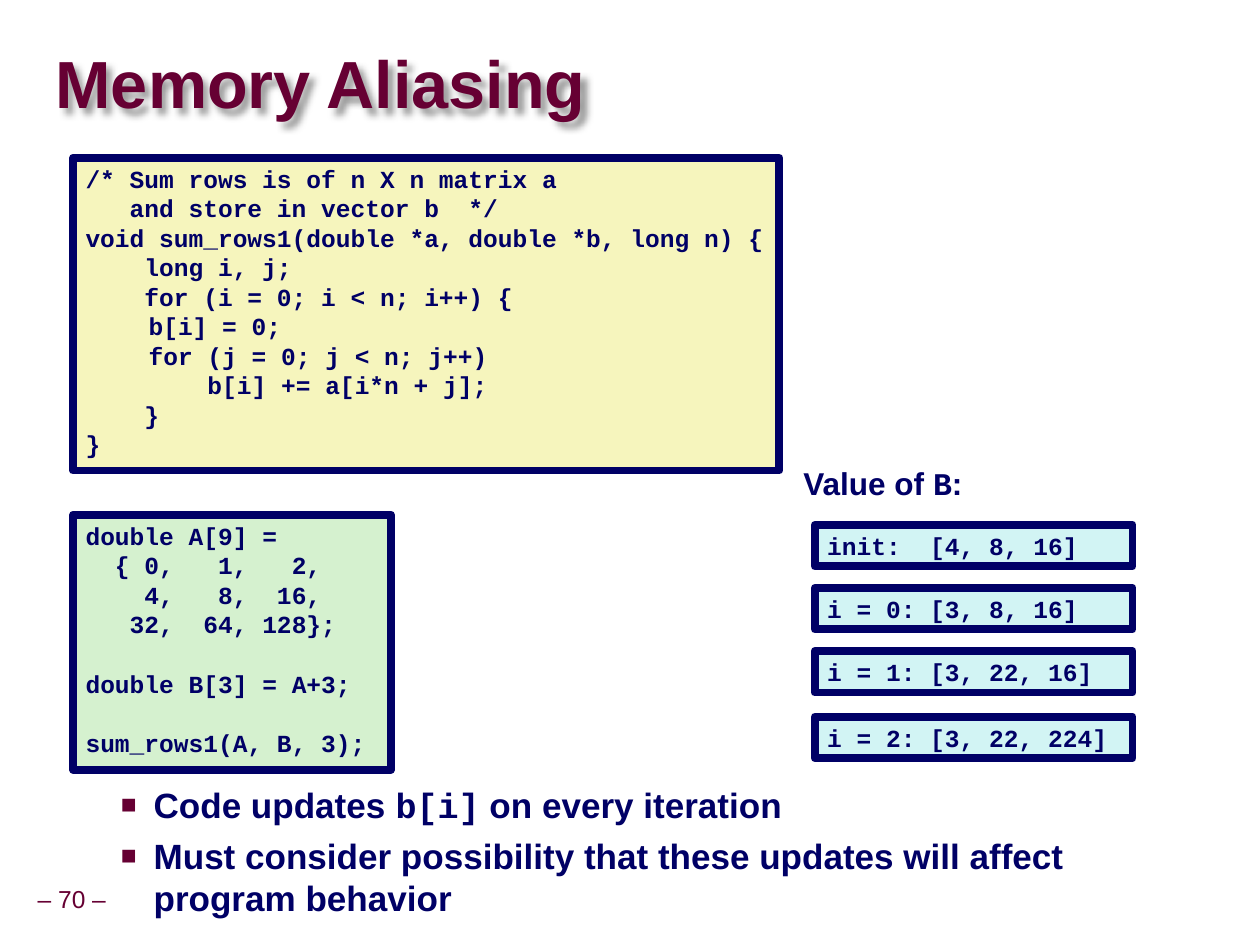
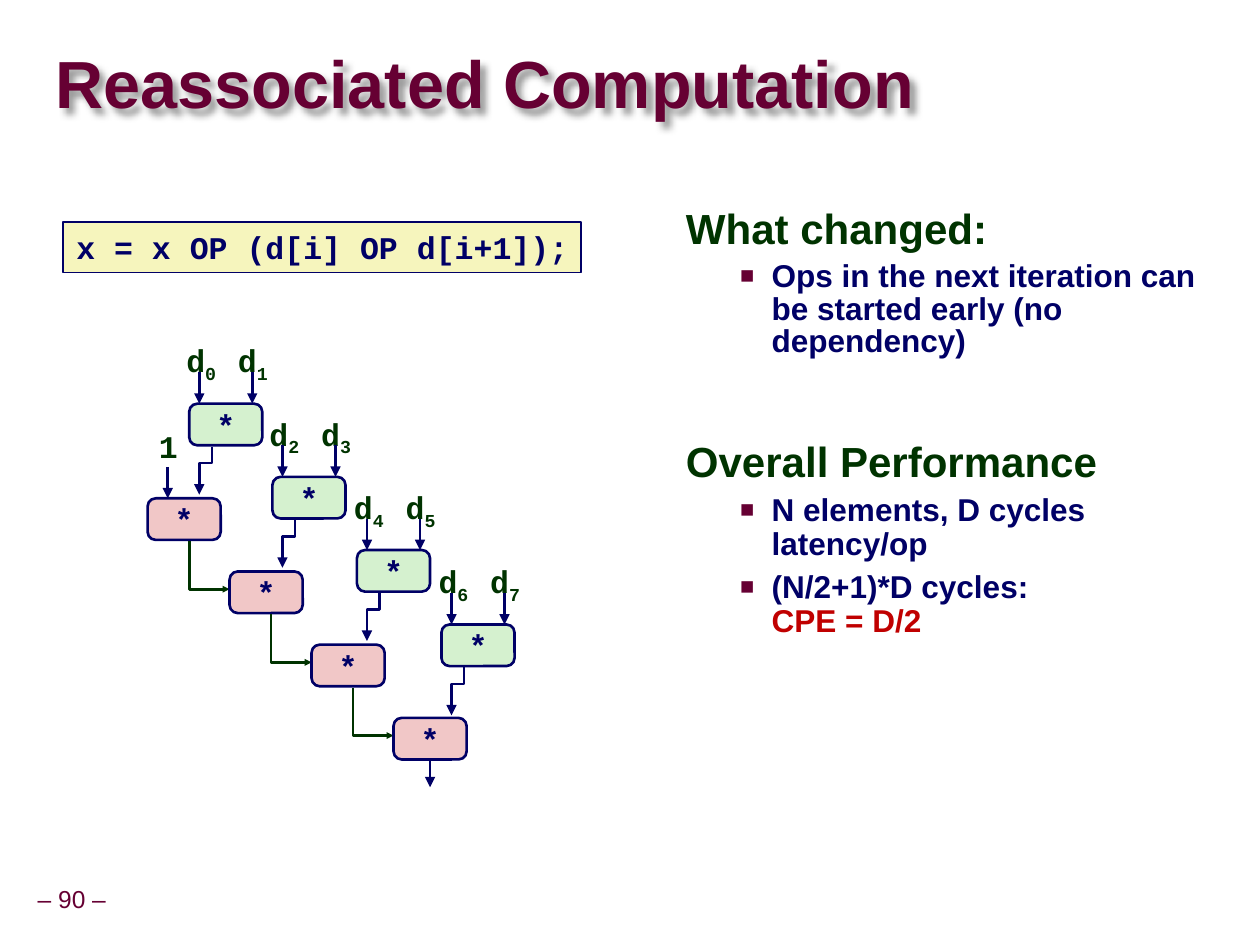
from lxml.etree import SubElement
from pptx import Presentation
from pptx.dml.color import RGBColor
from pptx.enum.shapes import MSO_CONNECTOR as CONN, MSO_SHAPE as SHAPE
from pptx.enum.text import MSO_ANCHOR as ANCHOR, MSO_AUTO_SIZE as AUTO, PP_ALIGN as ALIGN
from pptx.oxml import parse_xml
from pptx.oxml.ns import nsdecls, qn
from pptx.util import Pt

PX = 9144
MAROON = RGBColor(0x66, 0x00, 0x33)
NAVY = RGBColor(0x00, 0x00, 0x66)
FOREST = RGBColor(0x00, 0x33, 0x00)
RED = RGBColor(0xC0, 0x00, 0x00)
YELLOW = RGBColor(0xF6, 0xF5, 0xBD)
GREEN = RGBColor(0xD5, 0xF1, 0xCF)
CYAN = RGBColor(0xD2, 0xF4, 0xF4)
PINK = RGBColor(0xF1, 0xC7, 0xC7)
SANS, MONO = "Arial", "Courier New"

TITLE = dict(size=38, name=SANS, bold=True, color=MAROON)
FOOTER = dict(size=14, name=SANS, bold=False, color=MAROON)
HEADING = dict(size=24, name=SANS, bold=True, color=FOREST)
BODY = dict(size=20, name=SANS, bold=True, color=NAVY)
SMALL_BODY = dict(BODY, size=18)
CODE = dict(size=14, name=MONO, bold=True, color=NAVY)
BIG_CODE = dict(CODE, size=18)
LABEL = dict(BIG_CODE, color=FOREST)

SUM_ROWS = """/* Sum rows is of n X n matrix a
   and store in vector b  */
void sum_rows1(double *a, double *b, long n) {
    long i, j;
    for (i = 0; i < n; i++) {
\tb[i] = 0;
\tfor (j = 0; j < n; j++)
\t    b[i] += a[i*n + j];
    }
}"""
CALL = """double A[9] =
  { 0,   1,   2,
    4,   8,  16,
   32,  64, 128};

double B[3] = A+3;

sum_rows1(A, B, 3);"""


def px(*lengths):
    return [n * PX for n in lengths]


def add_run(p, text, fmt):
    r = p.add_run()
    r.text = text
    for key, value in fmt.items():
        if key == "color":
            r.font.color.rgb = value
        else:
            setattr(r.font, key, Pt(value) if key == "size" else value)
    return r


def frame(sp, margins=(10, 5), wrap=True, anchor=ANCHOR.TOP):
    tf = sp.text_frame
    side, top = px(*margins)
    settings = dict(margin_left=side, margin_right=side, margin_top=top, margin_bottom=top,
                    word_wrap=wrap, vertical_anchor=anchor, auto_size=AUTO.NONE)
    for key, value in settings.items():
        setattr(tf, key, value)
    return tf


def next_paragraph(tf):
    first = tf.paragraphs[0]
    return tf.add_paragraph() if first.runs else first


def add_label(s, box, runs, align=ALIGN.CENTER, anchor=ANCHOR.TOP):
    tf = frame(s.shapes.add_textbox(*px(*box)), (5, 5), False, anchor)
    p = tf.paragraphs[0]
    p.alignment, p.line_spacing = align, 0.9
    return [add_run(p, text, fmt) for text, fmt in runs]


def add_box(s, shape, box, fill, line_width):
    sp = s.shapes.add_shape(shape, *px(*box))
    sp.shadow.inherit = False
    sp.fill.solid()
    sp.fill.fore_color.rgb = fill
    sp.line.color.rgb = NAVY
    sp.line.width = Pt(line_width)
    return sp


def add_code(s, box, code, fill, fmt=CODE, line_width=4.5, wrap=True, align=ALIGN.LEFT):
    tf = frame(add_box(s, SHAPE.RECTANGLE, box, fill, line_width), wrap=wrap)
    gap = 0
    for line in code.split("\n"):
        if not line:
            gap = 17
            continue
        p = next_paragraph(tf)
        p.alignment = align
        if gap:
            p.space_before = Pt(gap)
        add_run(p, line, fmt)
        gap = 0


def add_bullet(p, left, hanging):
    pPr = p._p.get_or_add_pPr()
    pPr.set("marL", str(left * PX))
    pPr.set("indent", str(-hanging * PX))
    SubElement(SubElement(pPr, qn("a:buClr")), qn("a:srgbClr")).set("val", str(MAROON))
    SubElement(pPr, qn("a:buSzPct")).set("val", "75000")
    SubElement(pPr, qn("a:buFont")).set("typeface", SANS)
    SubElement(pPr, qn("a:buChar")).set("char", "■")


def add_body(s, box, paragraphs, indent):
    tf = frame(s.shapes.add_textbox(*px(*box)))
    for bulleted, spacing, before, runs in paragraphs:
        p = next_paragraph(tf)
        if bulleted:
            add_bullet(p, *indent)
        p.line_spacing = spacing
        if before:
            p.space_before = Pt(before)
        for text, fmt in runs:
            if text.startswith("\n"):
                p.add_line_break()
            add_run(p, text.lstrip("\n"), fmt)


def add_arrowhead(sp, size="med"):
    tail = SubElement(sp.line._get_or_add_ln(), qn("a:tailEnd"))
    for key, value in dict(type="triangle", w=size, len=size).items():
        tail.set(key, value)


def add_arrow(s, x, y, length=25):
    c = s.shapes.add_connector(CONN.STRAIGHT, *px(x, y, x, y + length))
    SubElement(c._element.spPr, qn("a:effectLst"))
    c.line.color.rgb = NAVY
    c.line.width = Pt(1.5)
    add_arrowhead(c)
    return c


def add_elbow(s, points, color, head="med"):
    fb = s.shapes.build_freeform(*points[0], scale=PX)
    fb.add_line_segments(points[1:], close=False)
    sp = fb.convert_to_shape()
    sp.shadow.inherit = False
    sp.fill.background()
    sp.line.color.rgb = color
    sp.line.width = Pt(1.5)
    add_arrowhead(sp, head)


def add_operator(s, x, y, fill):
    sp = add_box(s, SHAPE.ROUNDED_RECTANGLE, (x, y, 58, 33), fill, 1.5)
    sp.adjustments[0] = 0.196
    p = frame(sp, wrap=False, anchor=ANCHOR.MIDDLE).paragraphs[0]
    p.alignment = ALIGN.CENTER
    add_run(p, "*", BIG_CODE)
    return sp


def add_operand_pair(s, x, y, first):
    add_operator(s, x, y, GREEN)
    for i in range(2):
        _, sub = add_label(s, (x - 8 + 41 * i, y - 54, 35, 38),
                           [("d", LABEL), (str(first + i), LABEL)])
        sub._r.get_or_add_rPr().set("baseline", "-25000")
        add_arrow(s, x + 8 + 42 * i, y - 25)
    add_elbow(s, [(x + 18, y + 34), (x + 18, y + 47), (x + 8, y + 47), (x + 8, y + 72)], NAVY)


def add_operation_tree(s, x, y, levels=4):
    add_label(s, (x + 4, y + 71, 25, 38), [("1", LABEL)])
    add_arrow(s, x + 16, y + 104)
    for k in range(levels):
        add_operand_pair(s, x + 33 + k * 200 // 3, y + 54 + k * 175 // 3, 2 * k)
        left, top = x + 65 * k, y + 129 + 58 * k
        result = add_operator(s, left, top, PINK)
        if k < levels - 1:
            add_elbow(s, [(left + 33, top + 34), (left + 33, top + 72), (left + 65, top + 72)],
                      FOREST, "sm")
    add_arrow(s, left + 29, top + 33, 22).begin_connect(result, 2)


def add_values(s, x, y):
    add_label(s, (x, y, 137, 38),
              [("Value of ", SMALL_BODY), ("B", BIG_CODE), (":", SMALL_BODY)], ALIGN.LEFT)
    values = [(50, "init:  [4, 8, 16]"), (100, "i = 0: [3, 8, 16]"),
              (150, "i = 1: [3, 22, 16]"), (202, "i = 2: [3, 22, 224]")]
    for top, text in values:
        add_code(s, (x + 14, y + top, 252, 33), text, CYAN)


def add_slide(prs, title, number):
    s = prs.slides.add_slide(prs.slide_layouts[5])
    sp = s.shapes.title
    sp.left, sp.top, sp.width, sp.height = px(44, 27, 952, 85)
    sp._element.spPr.append(parse_xml(
        f'<a:effectLst {nsdecls("a")}><a:outerShdw blurRad="50800" dist="53900" dir="2700000">'
        '<a:srgbClr val="000000"><a:alpha val="40000"/></a:srgbClr></a:outerShdw></a:effectLst>'))
    p = frame(sp, (0, 0), anchor=ANCHOR.MIDDLE).paragraphs[0]
    p.alignment, p.line_spacing = ALIGN.LEFT, 0.87
    add_run(p, title, TITLE)
    add_label(s, (23, 698, 68, 32), [(f"– {number} –", FOOTER)], anchor=ANCHOR.MIDDLE)
    return s


def add_aliasing_slide(prs):
    s = add_slide(prs, "Memory Aliasing", 70)
    add_body(s, (32, 616, 907, 88), [
        (True, 1.0, 0, [("Code updates ", BODY), ("b[i]", dict(BODY, name=MONO)),
                        (" on every iteration", BODY)]),
        (True, 1.0, 5, [("Must consider possibility that these updates will affect "
                         "program behavior", BODY)]),
    ], (80, 26))
    add_code(s, (58, 125, 560, 248), SUM_ROWS, YELLOW, wrap=False)
    add_code(s, (58, 408, 252, 202), CALL, GREEN)
    add_values(s, 632, 366)


def add_reassociation_slide(prs):
    s = add_slide(prs, "Reassociated Computation", 90)
    add_body(s, (534, 162, 431, 570), [
        (False, 0.85, 0, [("What changed:", HEADING)]),
        (True, 0.85, 5, [("Ops in the next iteration can be started early (no dependency)",
                          SMALL_BODY)]),
        (False, 0.85, 48, [("Overall Performance", HEADING)]),
        (True, 0.9, 5, [("N elements, D cycles latency/op", SMALL_BODY)]),
        (True, 0.9, 5, [("(N/2+1)*D cycles:", SMALL_BODY),
                        ("\nCPE = D/2", dict(SMALL_BODY, color=RED))]),
    ], (68, 25))
    add_code(s, (50, 176, 411, 40), "x = x OP (d[i] OP d[i+1]);", YELLOW, BIG_CODE, 1,
             False, ALIGN.CENTER)
    add_operation_tree(s, 117, 266)


def main():
    prs = Presentation()
    prs.slide_width, prs.slide_height = px(999, 749)
    add_aliasing_slide(prs)
    add_reassociation_slide(prs)
    prs.save("out.pptx")


if __name__ == "__main__":
    main()
